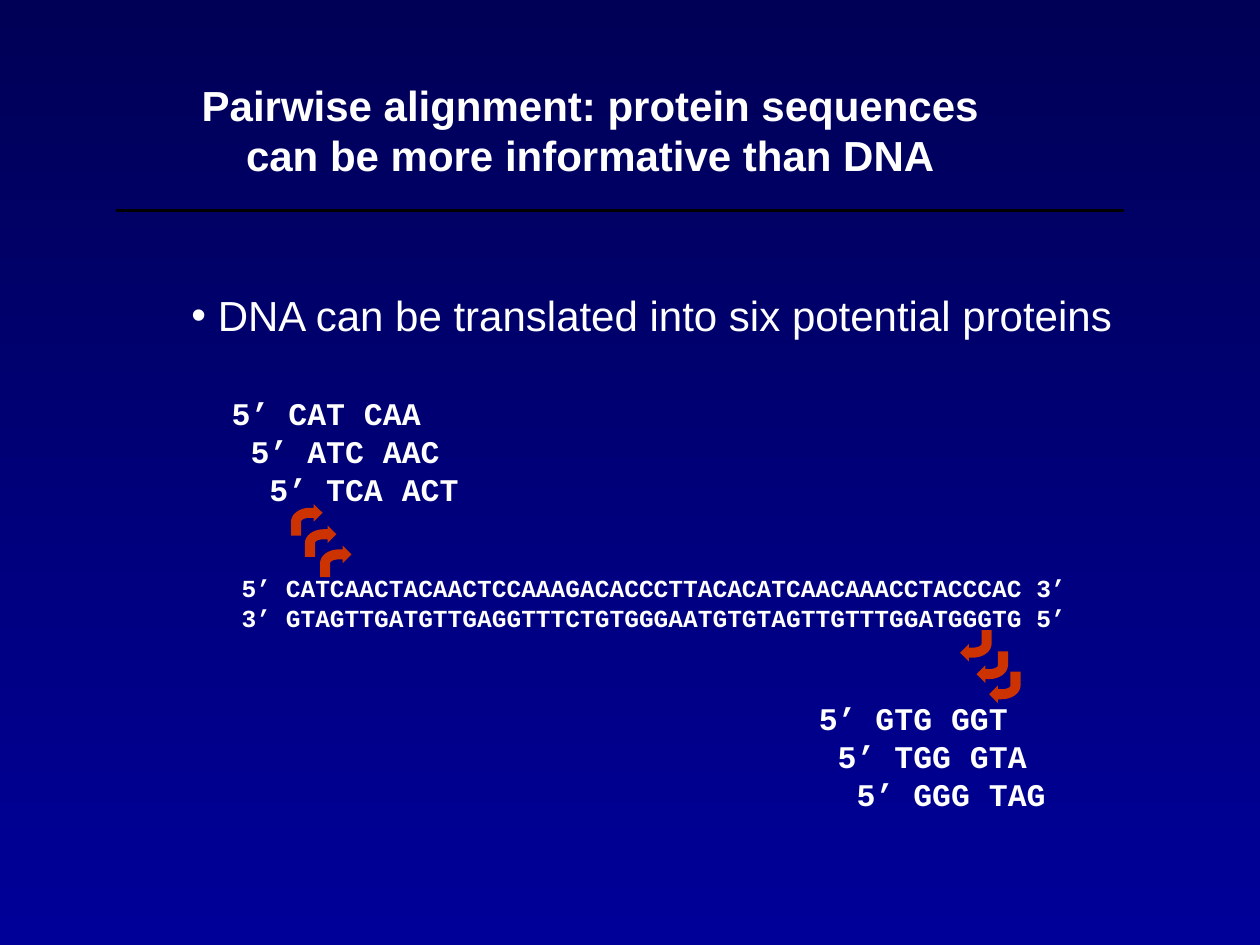
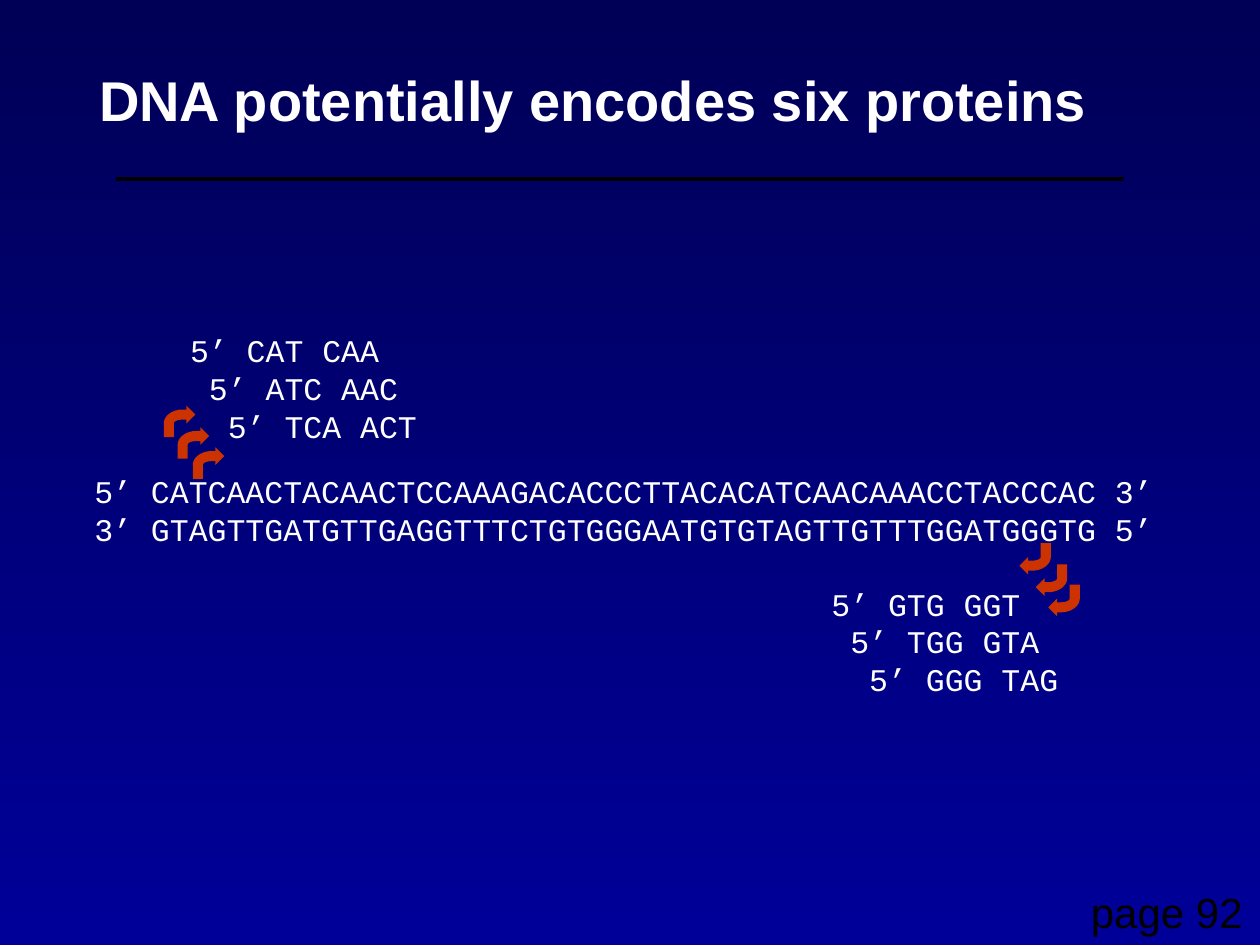
from math import cos, pi, sin

from lxml.etree import SubElement
from pptx import Presentation
from pptx.dml.color import RGBColor as Rgb
from pptx.enum.shapes import MSO_CONNECTOR as Link
from pptx.enum.text import MSO_ANCHOR as Anchor, MSO_AUTO_SIZE as Fit, PP_ALIGN as Align
from pptx.oxml.ns import qn
from pptx.util import Inches, Pt

# Content
FRONT = ["5’ CAT CAA", "5’ ATC AAC", "5’ TCA ACT"]
BACK = ["5’ GTG GGT", "5’ TGG GTA", "5’ GGG TAG"]
STRANDS = [
    "5’ CATCAACTACAACTCCAAAGACACCCTTACACATCAACAAACCTACCCAC 3’",
    "3’ GTAGTTGATGTTGAGGTTTCTGTGGGAATGTGTAGTTGTTTGGATGGGTG 5’",
]

# Shared look
COLORS = {"top": "000056", "base": "000099", "text": "FFFFFF", "dark": "000000", "arrow": "CC3300"}
SANS, MONO = "Arial", "Courier New"
RULE_X = (0.92, 8.92)
STEP = 0.15  # one letter of 18 point Courier New
HANG = 0.21  # width of the bullet and its gap
SIDE = 0.25  # width and height of an arrow
SHIFTS = {
    "up": [(0, 0), (0.11, 0.17), (0.23, 0.33)],
    "down": [(0, 0), (0.13, 0.17), (0.23, 0.33)],
}

# Text parts: lines, box, size, then any format that differs
SLIDES = [
    {
        "title": (["Pairwise alignment: protein sequences", "can be more informative than DNA"],
                  (1.5, 0.58, 6.37, 0.9), 24),
        "rule": (1.67, 1.5),
        "texts": [
            (["DNA can be translated into six potential proteins"], (1.42, 2.25, 7.52, 0.9), 24,
             {"name": SANS, "bullet": True}),
            (FRONT, (1.74, 3.08, 2.15, 1), 18, {"bold": True, "step": STEP}),
            (BACK, (6.4, 5.5, 2, 1), 18, {"bold": True, "step": STEP}),
            (STRANDS, (1.82, 4.5, 6.75, 0.57), 14, {"bold": True}),
        ],
        "arrows": {"up": (2.31, 4), "down": (7.62, 5)},
    },
    {
        "title": (["DNA potentially encodes six proteins"], (0.68, 0.47, 8.06, 0.64), 32),
        "rule": (1.42, 2.25),
        "texts": [
            (["page 92"], (8.56, 6.99, 1.4, 0.5), 24, {"name": SANS, "color": "dark"}),
            (FRONT, (1.41, 2.58, 2.15, 1), 18, {"step": STEP}),
            (BACK, (6.5, 4.59, 2, 1), 18, {"step": STEP}),
            (STRANDS, (0.65, 3.7, 8.6, 0.7), 18, {}),
        ],
        "arrows": {"up": (1.3, 3.22), "down": (8.09, 4.31)},
    },
]


def color(key):
    return Rgb.from_string(COLORS[key])


def write(shape, lines, size, name=MONO, bold=False, color_key="text",
          align=Align.LEFT, step=0, bullet=False):
    frame = shape.text_frame
    look = {"word_wrap": False, "auto_size": Fit.NONE, "vertical_anchor": Anchor.TOP}
    for key, value in look.items():
        setattr(frame, key, value)
    frame.text = "\n".join(lines)
    for row, para in enumerate(frame.paragraphs):
        para.alignment = align
        props = para._p.get_or_add_pPr()
        if step:
            props.set("marL", str(Inches(step * row)))
        if bullet:
            props.set("marL", str(Inches(HANG)))
            props.set("indent", str(-Inches(HANG)))
            SubElement(props, qn("a:buFont"), typeface=SANS)
            SubElement(props, qn("a:buChar"), char="•")
        font = para.runs[0].font
        for key, value in {"name": name, "size": Pt(size), "bold": bold}.items():
            setattr(font, key, value)
        font.color.rgb = color(color_key)


def add_title(slide, lines, box, size):
    title = slide.shapes.title
    for key, value in zip(("left", "top", "width", "height"), box):
        setattr(title, key, Inches(value))
    write(title, lines, size, SANS, True, align=Align.CENTER)


def add_text(slide, lines, box, size, form):
    form = dict(form)
    tint = form.pop("color", "text")
    shape = slide.shapes.add_textbox(*map(Inches, box))
    write(shape, lines, size, color_key=tint, **form)


def add_rule(slide, y, weight):
    left, right = RULE_X
    rule = slide.shapes.add_connector(Link.STRAIGHT, Inches(left), Inches(y), Inches(right), Inches(y))
    rule.line.color.rgb = color("dark")
    rule.line.width = Pt(weight)
    SubElement(rule._element.spPr, qn("a:effectLst"))


def bend(wide, high, count=8):
    """Points of a quarter ellipse, from its top to its left end."""
    turns = [pi / 2 * i / count for i in range(count + 1)]
    return [(0.15 - wide * sin(t), 0.14 - high * cos(t)) for t in turns]


# Bent arrow: head, outer bend, foot, inner bend
ARROW = ([(0.25, 0.07), (0.18, 0), (0.18, 0.03)] + bend(0.15, 0.11)
         + [(0, 0.25), (0.08, 0.25)] + bend(0.07, 0.03)[::-1]
         + [(0.18, 0.11), (0.18, 0.14)])


def add_arrows(slide, way, start):
    group = slide.shapes.add_group_shape()
    for shift in SHIFTS[way]:
        left, top = (a + b for a, b in zip(start, shift))
        points = ARROW if way == "up" else [(SIDE - x, SIDE - y) for x, y in ARROW]
        spots = [(Inches(left + x), Inches(top + y)) for x, y in points]
        pen = group.shapes.build_freeform(*spots[0])
        pen.add_line_segments(spots[1:], close=True)
        arrow = pen.convert_to_shape()
        arrow.shadow.inherit = False
        arrow.fill.solid()
        arrow.fill.fore_color.rgb = color("arrow")
        arrow.line.fill.background()


def main():
    deck = Presentation()
    deck.slide_width, deck.slide_height = Inches(10), Inches(7.5)

    # Shared background
    fill = deck.slide_master.background.fill
    fill.gradient()
    fill.gradient_angle = 270
    for stop, key in zip(fill.gradient_stops, ("top", "base")):
        stop.color.rgb = color(key)

    for data in SLIDES:
        slide = deck.slides.add_slide(deck.slide_layouts.get_by_name("Title Only"))
        add_title(slide, *data["title"])
        add_rule(slide, *data["rule"])
        for part in data["texts"]:
            add_text(slide, *part)
        for way, start in data["arrows"].items():
            add_arrows(slide, way, start)

    deck.save("out.pptx")


if __name__ == "__main__":
    main()
